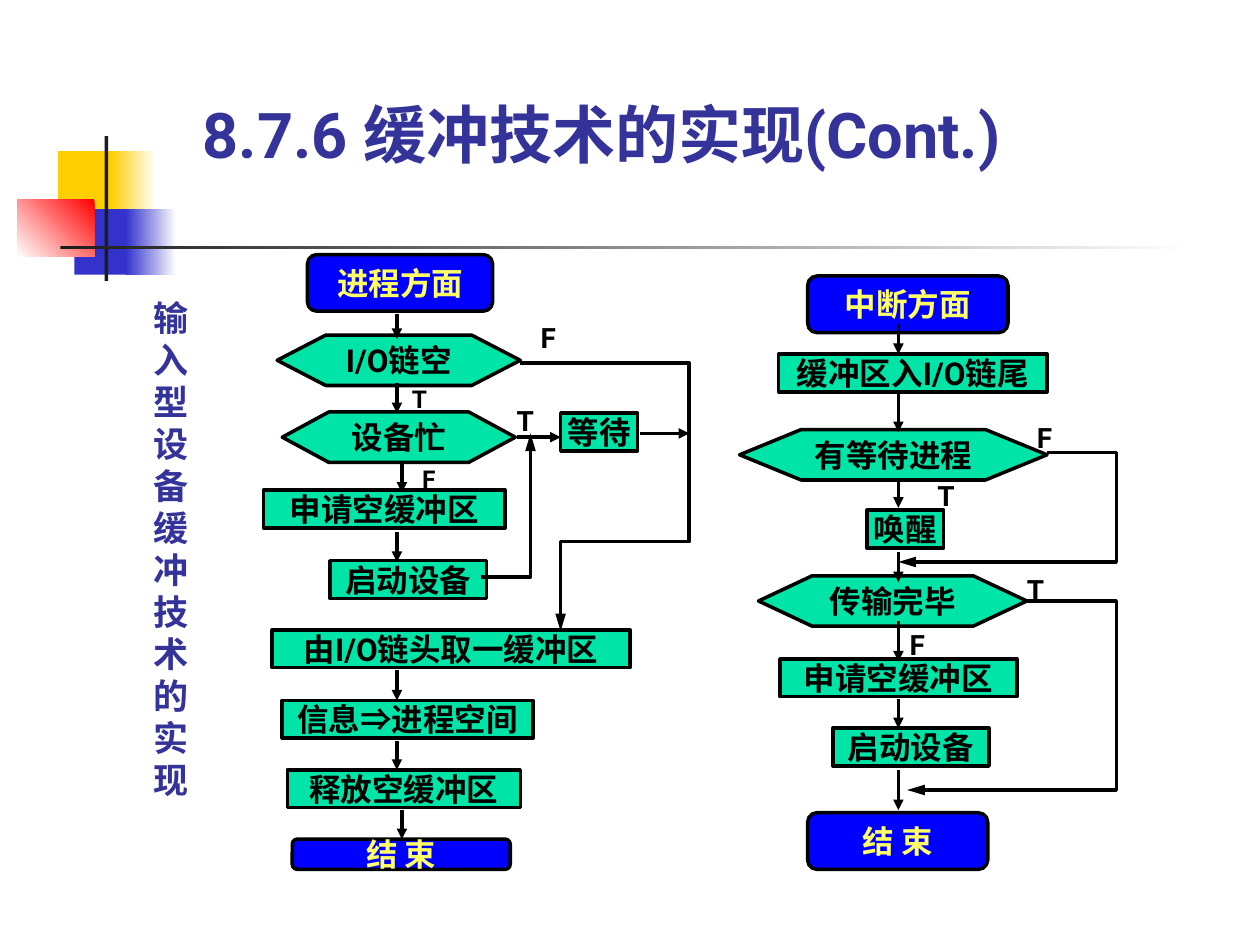
from dataclasses import dataclass
from pptx import Presentation
from pptx.dml.color import RGBColor
from pptx.enum.shapes import MSO_CONNECTOR, MSO_SHAPE
from pptx.enum.text import MSO_ANCHOR, PP_ALIGN
from pptx.oxml.ns import qn
from pptx.util import Inches, Pt
from lxml import etree

RECT = MSO_SHAPE.RECTANGLE
TERMINAL = MSO_SHAPE.FLOWCHART_ALTERNATE_PROCESS
DECISION = MSO_SHAPE.FLOWCHART_PREPARATION
STRAIGHT = MSO_CONNECTOR.STRAIGHT
TOP, MIDDLE, BOTTOM = MSO_ANCHOR.TOP, MSO_ANCHOR.MIDDLE, MSO_ANCHOR.BOTTOM
LEFT, CENTER = PP_ALIGN.LEFT, PP_ALIGN.CENTER

COLORS = {
    "title": "333399", "yellow": "FFCF01", "blue": "3333CC", "red": "FF0000",
    "white": "FFFFFF", "bar": "1C1C1C", "terminal": "0000FF",
    "terminal_text": "FFFF66", "step": "00E4A8", "black": "000000",
}
FONT, SYMBOL_FONT, SYMBOL = "Roboto", "Arial", "⇒"
COLUMNS, ROWS = 100, 75
CELL = Inches(10) // COLUMNS
STEP_ROWS, DECISION_ROWS, TERMINAL_ROWS = 3, 4, 4.5


@dataclass
class Region:
    """A box on the slide grid; its parts are placed from its top left cell."""
    column: float
    row: float

    def point(self, x, y):
        return round((self.column + x) * CELL), round((self.row + y) * CELL)

    def frame(self, x, y, width, height):
        return *self.point(x, y), round(width * CELL), round(height * CELL)


def rgb(name):
    return RGBColor.from_string(COLORS[name])


def write(shape, text, size, color, align=LEFT, anchor=TOP, wrap=True, inset=(0, 0)):
    frame = shape.text_frame
    frame.word_wrap, frame.vertical_anchor = wrap, anchor
    frame.margin_left = frame.margin_right = Inches(inset[0])
    frame.margin_top = frame.margin_bottom = Inches(inset[1])
    paragraph = frame.paragraphs[0]
    paragraph.alignment = align
    font = paragraph.font
    font.name, font.size, font.bold = FONT, Pt(size), True
    font.color.rgb = rgb(color)
    before, symbol, after = text.partition(SYMBOL)
    for part in filter(None, (before, symbol, after)):
        run = paragraph.add_run()
        run.text = part
        if part == SYMBOL:
            run.font.name = SYMBOL_FONT


def add_text(slide, region, box, text, size, color, anchor=TOP):
    write(slide.shapes.add_textbox(*region.frame(*box)), text, size, color, anchor=anchor)


def add_node(slide, region, kind, text, x, y, width, height, wrap=True):
    node = slide.shapes.add_shape(kind, *region.frame(x, y, width, height))
    node.shadow.inherit = False
    node.fill.solid()
    node.fill.fore_color.rgb = rgb("terminal" if kind == TERMINAL else "step")
    node.line.color.rgb, node.line.width = rgb("black"), Pt(2)
    color = "terminal_text" if kind == TERMINAL else "black"
    if kind == RECT:
        write(node, text, 18, color, CENTER)
    else:
        write(node, text, 18, color, CENTER, MIDDLE, wrap, (0.1, 0.05))


def add_arrowhead(line, length):
    line.line.color.rgb, line.line.width = rgb("black"), Pt(2)
    outline = line.element.spPr.find(qn("a:ln"))
    etree.SubElement(outline, qn("a:tailEnd"), type="triangle", w="med", len=length)


def add_arrow(slide, region, start, end):
    arrow = slide.shapes.add_connector(
        STRAIGHT, *region.point(*start), *region.point(*end))
    add_arrowhead(arrow, "med")
    etree.SubElement(arrow.element.spPr, qn("a:effectLst"))


def add_bent_arrow(slide, region, points):
    start, *turns = [region.point(*point) for point in points]
    builder = slide.shapes.build_freeform(*start)
    builder.add_line_segments(turns, close=False)
    arrow = builder.convert_to_shape()
    arrow.shadow.inherit = False
    arrow.fill.background()
    add_arrowhead(arrow, "lg")


def add_flow(slide, region, steps, decisions, terminals, drops, sides, bends, labels):
    for text, x, y, width in steps:
        add_node(slide, region, RECT, text, x, y, width, STEP_ROWS)
    for text, x, y, width in decisions:
        add_node(slide, region, DECISION, text, x, y, width, DECISION_ROWS)
    for text, x, y, width, height in terminals:
        add_node(slide, region, TERMINAL, text, x, y, width, height,
                 wrap=height == TERMINAL_ROWS)
    for x, top, bottom in drops:
        add_arrow(slide, region, (x, top), (x, bottom))
    for y, left, right in sides:
        add_arrow(slide, region, (left, y), (right, y))
    for points in bends:
        add_bent_arrow(slide, region, points)
    for text, x, y, size in labels:
        add_text(slide, region, (x, y, 1.6, size / 6), text, size, "black")


def add_ornament(slide, region):
    """Coloured squares, upright bar and fading rule beside the title."""
    blocks = [  # x, y, width, height, colour, direction of the fade to white
        (3.2, 1.2, 4.8, 5.2, "yellow", None),
        (7.4, 1.2, 3.6, 5.2, "yellow", 0),
        (4.5, 5.8, 4.6, 5.2, "blue", None),
        (8.6, 5.8, 4, 5.2, "blue", 0),
        (0, 5, 6.1, 4.6, "red", 225),
        (6.9, 0, 0.3, 11.5, "bar", None),
        (3.4, 8.7, 90, 0.3, "bar", 0),
    ]
    for *box, color, fade in blocks:
        block = slide.shapes.add_shape(RECT, *region.frame(*box))
        block.shadow.inherit = False
        block.line.fill.background()
        if fade is None:
            block.fill.solid()
            block.fill.fore_color.rgb = rgb(color)
        else:
            block.fill.gradient()
            block.fill.gradient_angle = fade
            for stop, name in zip(block.fill.gradient_stops, (color, "white")):
                stop.color.rgb = rgb(name)


def add_headings(slide, region):
    add_text(slide, region, (0, 15.9, 3.9, 40), "输入型设备缓冲技术的实现", 20, "title")
    add_text(slide, region, (3.9, 0, 69.3, 6), "8.7.6 缓冲技术的实现(Cont.)", 36,
             "title", BOTTOM)


def add_process_flow(slide, region):
    main, shifted = 11.5, 11.9  # columns of the downward arrows
    add_flow(
        slide, region,
        steps=[("申请空缓冲区", 0.9, 18.9, 19.2), ("启动设备", 6.2, 24.5, 12.4),
               ("由I/O链头取一缓冲区", 1.6, 30, 28.4),
               ("信息⇒进程空间", 2.4, 35.6, 19.9),
               ("释放空缓冲区", 2.8, 41.1, 18.5), ("等待", 24.5, 12.8, 6.1)],
        decisions=[("I/O链空", 2, 6.6, 19.3), ("设备忙", 2.4, 12.7, 18.5)],
        terminals=[("进程方面", 4.4, 0.2, 14.7, TERMINAL_ROWS),
                   ("结 束", 3.2, 46.6, 17.3, 2.4)],
        drops=[(main, 4.9, 6.9), (main, 10.4, 12.8), (shifted, 16.7, 19.1),
               (main, 22.2, 24.6), (main, 33.2, 35.6), (main, 38.8, 41.1),
               (shifted, 44.3, 46.6)],
        sides=[(14.7, 21, 24.5), (14.4, 30.8, 34.7)],
        bends=[[(21.3, 8.8), (34.7, 8.8), (34.7, 23), (24.5, 23), (24.5, 30.1)],
               [(18.2, 25.8), (22.1, 25.8), (22.1, 14.4)]],
        labels=[("T", 21, 12, 16), ("T", 12.7, 10.5, 14),
                ("F", 13.5, 16.8, 14), ("F", 22.9, 5.4, 16)],
    )


def add_interrupt_flow(slide, region):
    main, bypass = 13.3, 30.6  # columns of the downward arrows and the detours
    add_flow(
        slide, region,
        steps=[("缓冲区入I/O链尾", 3.8, 8.1, 21.3), ("唤醒", 10.8, 20.5, 6.1),
               ("申请空缓冲区", 3.9, 32.3, 18.8), ("启动设备", 8.1, 37.8, 12.4)],
        decisions=[("有等待进程", 0.7, 14.1, 24.4), ("传输完毕", 2.2, 25.7, 21.3)],
        terminals=[("中断方面", 6.1, 1.9, 15.9, TERMINAL_ROWS),
                   ("结 束", 6.1, 44.5, 14.3, TERMINAL_ROWS)],
        drops=[(main, 5.7, 8.1), (main, 11.2, 14.3), (main, 18, 20.3),
               (main, 23.8, 26.2), (main, 29.3, 32.5), (main, 35.5, 37.8),
               (main, 41.1, 44.3)],
        sides=[],
        bends=[[(25.1, 15.9), (bypass, 15.9), (bypass, 24.6), (main, 24.6)],
               [(23.5, 27.7), (bypass, 27.7), (bypass, 42.7), (14, 42.7)]],
        labels=[("T", 16.4, 18, 16), ("F", 24.3, 13.4, 16),
                ("F", 14.2, 29.8, 16), ("T", 23.5, 25.4, 16)],
    )


def main():
    deck = Presentation()
    deck.slide_width, deck.slide_height = CELL * COLUMNS, CELL * ROWS
    slide = deck.slides.add_slide(deck.slide_layouts[6])
    add_ornament(slide, Region(1.4, 10.8))
    add_headings(slide, Region(12.2, 7.6))
    add_process_flow(slide, Region(20, 20))
    add_interrupt_flow(slide, Region(58, 20))
    deck.save("out.pptx")


if __name__ == "__main__":
    main()
